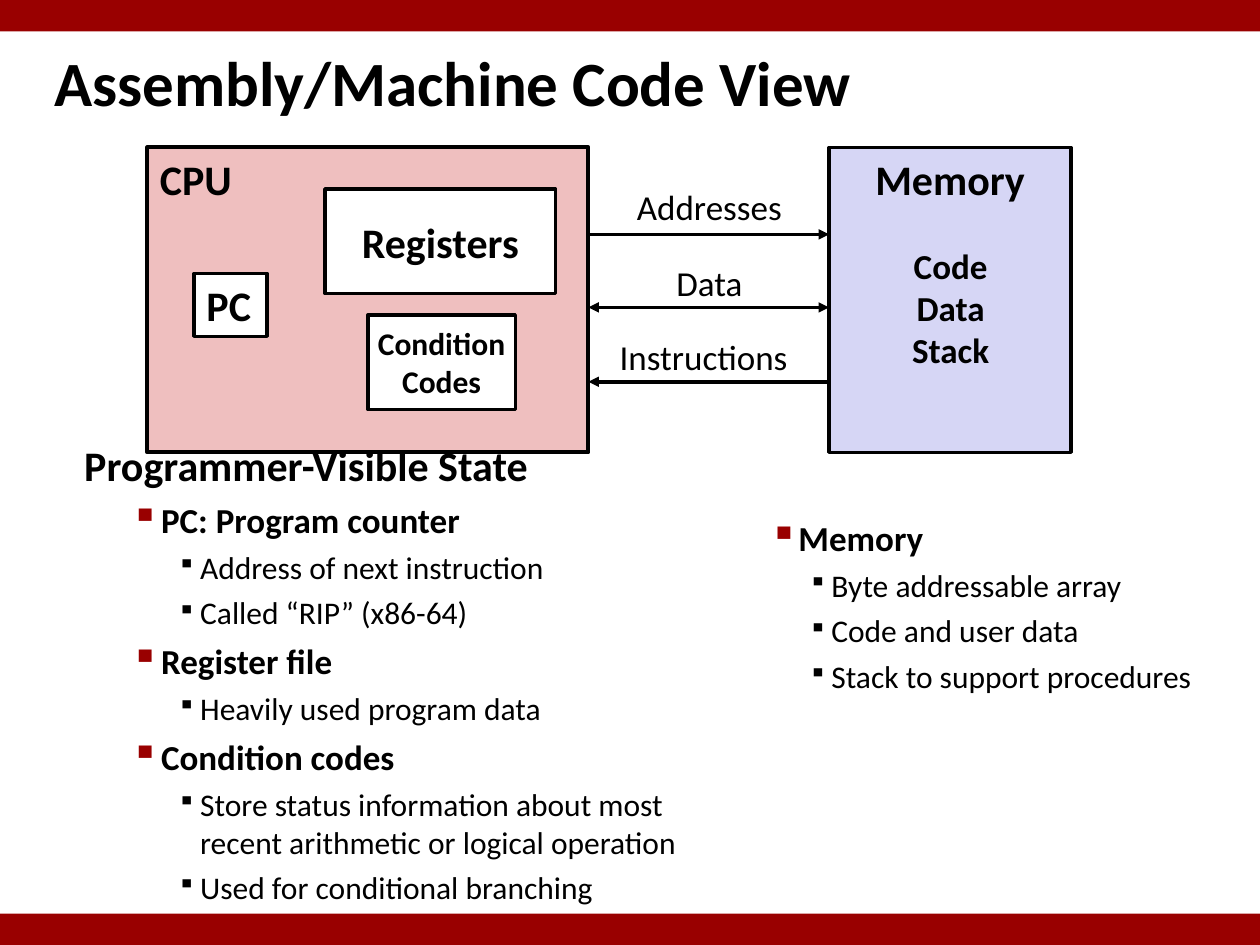
import pptx
import pptx.dml.color
import pptx.enum.shapes
import pptx.enum.text
import pptx.oxml
import pptx.oxml.ns
import pptx.util
from pptx.enum.text import MSO_ANCHOR, PP_ALIGN
from pptx.util import Inches

LEVEL_SIZES = {0: 24, 1: 20, 2: 18}


def rgb(value):
    return pptx.dml.color.RGBColor.from_string(value)


class SlideBuilder:
    """Draw styled elements on the current slide."""

    font = "Calibri"
    ink = "000000"
    accent = "990000"

    def __init__(self, slide):
        self.slide = slide

    def place(self, shape, left, top, width, height):
        shape.left, shape.top = Inches(left), Inches(top)
        shape.width, shape.height = Inches(width), Inches(height)

    def style(self, para, size, bold, align):
        para.alignment = align
        para.font.name = self.font
        para.font.size = pptx.util.Pt(size)
        para.font.bold = bold
        para.font.color.rgb = rgb(self.ink)

    def fill_text(self, frame, lines, size, bold=True, align=PP_ALIGN.CENTER):
        for index, line in enumerate(lines):
            para = frame.add_paragraph() if index else frame.paragraphs[0]
            para.text = line
            self.style(para, size, bold, align)

    def title(self, text, *bounds):
        title = self.slide.shapes.title
        self.place(title, *bounds)
        frame = title.text_frame
        frame.auto_size = pptx.enum.text.MSO_AUTO_SIZE.NONE
        frame.vertical_anchor = MSO_ANCHOR.MIDDLE
        self.fill_text(frame, [text], 36, align=PP_ALIGN.LEFT)

    def rectangle(self, bounds, fill, line_width=0):
        shape = self.slide.shapes.add_shape(
            pptx.enum.shapes.MSO_SHAPE.RECTANGLE, *map(Inches, bounds))
        shape.shadow.inherit = False
        shape.fill.solid()
        shape.fill.fore_color.rgb = rgb(fill)
        if line_width:
            shape.line.color.rgb = rgb(self.ink)
            shape.line.width = pptx.util.Pt(line_width)
        else:
            shape.line.fill.background()
        return shape

    def block(self, lines, bounds, fill="FFFFFF", size=24, line_width=2,
              align=PP_ALIGN.CENTER, anchor=MSO_ANCHOR.MIDDLE):
        frame = self.rectangle(bounds, fill, line_width).text_frame
        frame.word_wrap = align == PP_ALIGN.LEFT
        frame.vertical_anchor = anchor
        self.fill_text(frame, lines, size, align=align)

    def text_box(self, *bounds):
        frame = self.slide.shapes.add_textbox(*map(Inches, bounds)).text_frame
        frame.word_wrap = True
        return frame

    def label(self, lines, bounds, bold=False):
        self.fill_text(self.text_box(*bounds), lines, 20, bold)

    def arrow(self, start, end, y, ends):
        line = self.slide.shapes.add_connector(
            pptx.enum.shapes.MSO_CONNECTOR.STRAIGHT,
            Inches(start), Inches(y), Inches(end), Inches(y))
        line.line.color.rgb = rgb(self.ink)
        line.line.width = pptx.util.Pt(2)
        outline = line.line._get_or_add_ln()
        for end_name in ends:
            self.element(outline, end_name, type="triangle")
        self.element(line._element.spPr, "effectLst")

    def element(self, parent, name, **attributes):
        child = pptx.oxml.parse_xml(f"<a:{name} {pptx.oxml.ns.nsdecls('a')}/>")
        for key, value in attributes.items():
            child.set(key, value)
        parent.append(child)
        return child

    def bullet(self, para, level, margin, hanging):
        properties = para._p.get_or_add_pPr()
        properties.set("marL", str(Inches(margin)))
        properties.set("indent", str(-Inches(hanging)))
        color = self.accent if level == 1 else self.ink
        self.element(self.element(properties, "buClr"), "srgbClr", val=color)
        percent = 110 if level == 1 else 80
        self.element(properties, "buSzPct", val=str(percent * 1000))
        self.element(properties, "buChar", char="▪")

    def outline(self, items, bounds, indents):
        frame = self.text_box(*bounds)
        for index, (level, text) in enumerate(items):
            para = frame.add_paragraph() if index else frame.paragraphs[0]
            para.text = text
            para.level = level
            if level:
                self.bullet(para, level, *indents[level])
            size = LEVEL_SIZES[level]
            if index:
                para.space_before = pptx.util.Pt(round(size * 0.24, 1))
            self.style(para, size, level < 2, PP_ALIGN.LEFT)


def main():
    deck = pptx.Presentation()
    deck.slide_width, deck.slide_height = Inches(10), Inches(7.5)
    page = SlideBuilder(deck.slides.add_slide(deck.slide_layouts[5]))

    cpu_left, cpu_right, memory_left = 1.17, 4.67, 6.58
    top, height = 1.17, 2.42
    page.block(["CPU"], (cpu_left, top, cpu_right - cpu_left, height),
               "EFBFBF", line_width=2.25, align=PP_ALIGN.LEFT,
               anchor=MSO_ANCHOR.TOP)
    page.title("Assembly/Machine Code View", 0.33, 0.33, 7.9, 0.63)
    page.outline([
        (0, "Programmer-Visible State"),
        (1, "PC: Program counter"),
        (2, "Address of next instruction"),
        (2, "Called “RIP” (x86-64)"),
        (1, "Register file"),
        (2, "Heavily used program data"),
        (1, "Condition codes"),
        (2, "Store status information about most recent arithmetic "
            "or logical operation"),
        (2, "Used for conditional branching"),
    ], (0.57, 3.44, 5.31, 3.6), {1: (0.61, 0.24), 2: (0.92, 0.18)})

    page.block(["PC"], (1.54, 2.17, 0.58, 0.5), align=PP_ALIGN.LEFT)
    page.block(["Registers"], (2.58, 1.5, 1.83, 0.83))
    page.block(["Condition", "Codes"], (2.92, 2.5, 1.17, 0.75), size=18)
    page.block(["Memory"], (memory_left, top, 1.92, height), "D6D6F5",
               anchor=MSO_ANCHOR.TOP)
    page.label(["Code", "Data", "Stack"], (6.92, 1.89, 1.25, 1.11), bold=True)

    buses = [
        ("Addresses", 1.42, 1.92, 1.86, ["tailEnd"]),
        ("Data", 2.03, 1.92, 2.44, ["headEnd", "tailEnd"]),
        ("Instructions", 2.61, 1.83, 3.03, ["headEnd"]),
    ]
    for name, label_top, label_width, arrow_y, ends in buses:
        page.arrow(cpu_right, memory_left, arrow_y, ends)
        page.label([name], (cpu_right, label_top, label_width, 0.43))

    page.outline([
        (1, "Memory"),
        (2, "Byte addressable array"),
        (2, "Code and user data"),
        (2, "Stack to support procedures"),
    ], (5.88, 4.05, 3.96, 1.72), {1: (0.32, 0.19), 2: (0.62, 0.18)})

    for bar_top in (0, 7.25):
        page.rectangle((0, bar_top, 10, 0.25), page.accent)
    deck.save("out.pptx")


if __name__ == "__main__":
    main()
